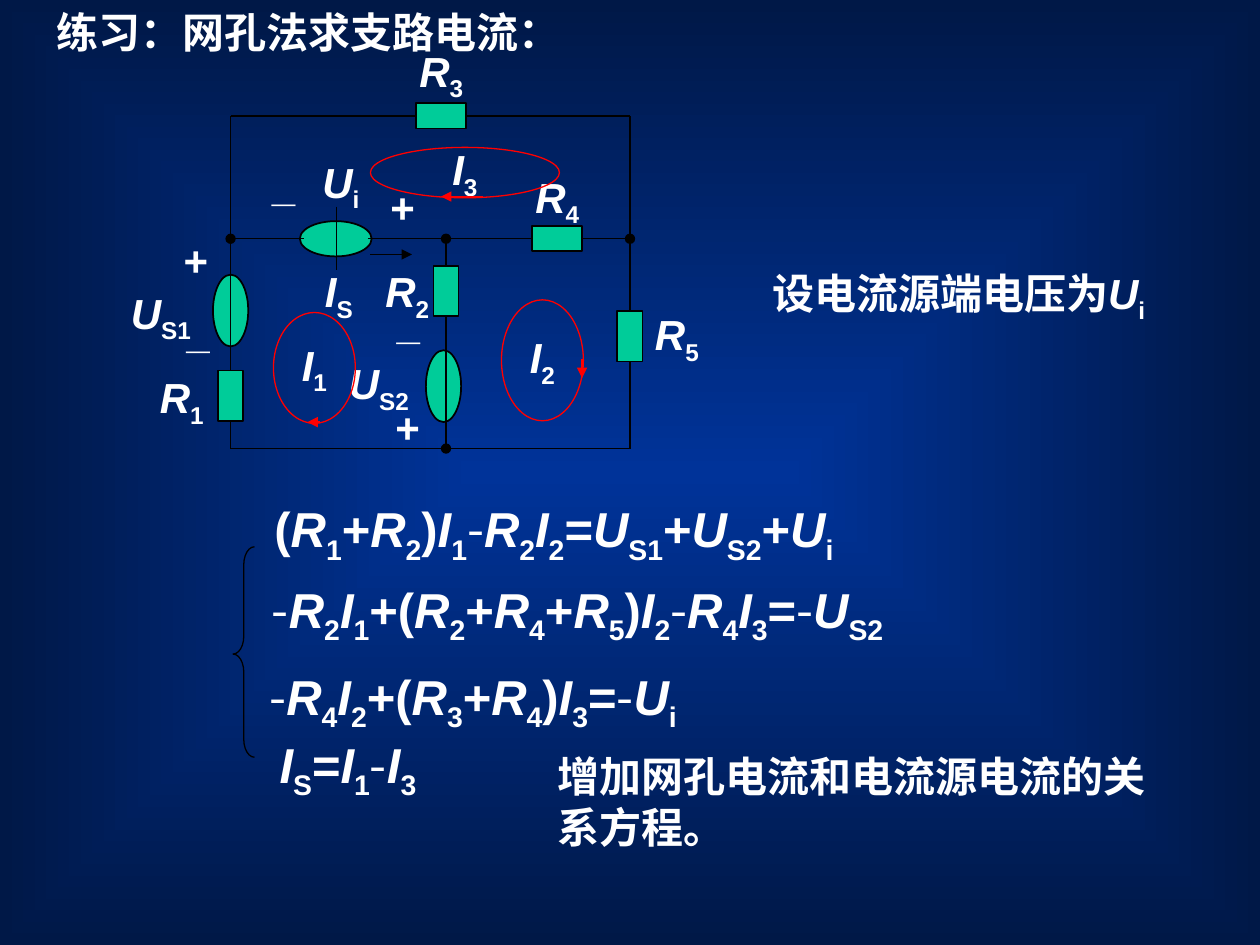
import itertools

import pptx
import pptx.dml.color
import pptx.enum.lang
import pptx.enum.shapes
import pptx.enum.text
import pptx.oxml.ns
import pptx.util
from lxml import etree

COLORS = {
    "center": "003399", "edge": "001847", "text": "FFFFFF",
    "part": "00CC99", "wire": "000000", "loop": "FF0000",
}
SHAPE = pptx.enum.shapes.MSO_SHAPE
ANCHOR = pptx.enum.text.MSO_ANCHOR
ALIGN = pptx.enum.text.PP_ALIGN
qn = pptx.oxml.ns.qn

# The slide is a grid of 100 columns by 75 rows of square cells.
CELL = pptx.util.Inches(0.1)
LEFT, MIDDLE, RIGHT = 18.3, 35.4, 50
TOP, CENTER, BOTTOM = 9.2, 18.95, 35.6
SOURCE_SIZE = (2.8, 5.7)
RESISTOR_SIZE = (2, 4)


def cells(*counts):
    return [round(count * CELL) for count in counts]


def rgb(name):
    return pptx.dml.color.RGBColor.from_string(COLORS[name])


def paint_background(page):
    fill = page.background.fill
    fill.gradient()
    for stop, name in zip(fill.gradient_stops, ("center", "edge")):
        stop.color.rgb = rgb(name)
    linear = next(page.element.iter(qn("a:lin")))
    gradient = linear.getparent()
    gradient.remove(linear)
    route = etree.SubElement(gradient, qn("a:path"), path="shape")
    etree.SubElement(route, qn("a:fillToRect"),
                     {side: "50000" for side in "ltrb"})


def glyph_style(char):
    if char in "RIU":
        return "variable"
    return "minus" if char == "-" else "plain"


def add_span(para, text, style):
    span = para.add_run()
    span.text = text
    span.font.language_id = pptx.enum.lang.MSO_LANGUAGE_ID.SIMPLIFIED_CHINESE
    if style == "variable":
        span.font.italic = True
    elif style == "minus":
        span.font.name = "Noto Sans CJK SC"
        span.font.bold = False
    elif style == "subscript":
        span.font._element.set("baseline", "-25000")


def write(box, text, size=24, wrap=False, align=ALIGN.LEFT, anchor=ANCHOR.TOP):
    """Write text in which braces hold subscripts and R, I, U are variables."""
    frame = box.text_frame
    frame.word_wrap = wrap
    frame.vertical_anchor = anchor
    para = frame.paragraphs[0]
    para.alignment = align
    para.font.name = "Arial"
    para.font.size = pptx.util.Pt(size)
    para.font.bold = True
    para.font.color.rgb = rgb("text")
    for chunk in text.split("{"):
        subscript, brace, rest = chunk.partition("}")
        if brace:
            add_span(para, subscript, "subscript")
        else:
            rest = chunk
        for style, chars in itertools.groupby(rest, glyph_style):
            add_span(para, "".join(chars), style)


def add_label(page, text, left, top, width, height=5.1, size=24, wrap=False):
    box = page.shapes.add_textbox(*cells(left, top, width, height))
    write(box, text, size, wrap)
    box.text_frame.auto_size = pptx.enum.text.MSO_AUTO_SIZE.SHAPE_TO_FIT_TEXT


def add_outline(page, kind, left, top, width, height, line="wire", weight=0.75):
    shape = page.shapes.add_shape(kind, *cells(left, top, width, height))
    shape.shadow.inherit = False
    shape.fill.background()
    shape.line.color.rgb = rgb(line)
    shape.line.width = pptx.util.Pt(weight)
    return shape


def add_part(page, kind, x, y, size, flat=False):
    """Add a circuit part centred at x, y; flat parts lie along a row."""
    width, height = reversed(size) if flat else size
    part = add_outline(page, kind, x - width / 2, y - height / 2,
                       width, height, weight=1)
    part.fill.solid()
    part.fill.fore_color.rgb = rgb("part")


def add_wire(page, start, end, color="wire", head=None, tail=None):
    wire = page.shapes.add_connector(
        pptx.enum.shapes.MSO_CONNECTOR.STRAIGHT, *cells(*start, *end))
    wire.line.color.rgb = rgb(color)
    wire.line.width = pptx.util.Pt(0.75)
    properties = wire._element.spPr
    line = properties.find(qn("a:ln"))
    for tag, kind in (("a:headEnd", head), ("a:tailEnd", tail)):
        if kind:
            etree.SubElement(line, qn(tag), type=kind)
    etree.SubElement(properties, qn("a:effectLst"))


def add_loop(page, text, area, start, end):
    loop = add_outline(page, SHAPE.OVAL, *area, line="loop")
    write(loop, text, align=ALIGN.CENTER, anchor=ANCHOR.MIDDLE)
    add_wire(page, start, end, "loop", tail="triangle")


def add_title(page, text):
    title = page.shapes.title
    title.left, title.top, title.width, title.height = cells(3.5, 0, 42.6, 5.1)
    write(title, text)
    title.text_frame.auto_size = pptx.enum.text.MSO_AUTO_SIZE.SHAPE_TO_FIT_TEXT


def add_circuit(page):
    for x, y, flat in ((35.2, 30.65, False), (LEFT, 24.65, False),
                       (26.65, CENTER, True)):
        add_part(page, SHAPE.OVAL, x, y, SOURCE_SIZE, flat)

    for x in (LEFT, RIGHT):
        add_wire(page, (x, TOP), (x, BOTTOM))
    for y in (TOP, BOTTOM):
        add_wire(page, (LEFT, y), (RIGHT, y))
    add_wire(page, (26.7, 16.4), (26.7, 21.4))
    add_wire(page, (24.1, CENTER), (LEFT, CENTER), tail="oval")
    add_wire(page, (29.2, CENTER), (RIGHT, CENTER), tail="oval")
    add_wire(page, (MIDDLE, CENTER), (MIDDLE, BOTTOM), head="oval", tail="oval")
    add_wire(page, (29.4, 20.2), (32.7, 20.2), tail="triangle")

    for x, y, flat in ((LEFT, 31.4, False), (MIDDLE, 23.1, False),
                       (35, TOP, True), (44.2, CENTER, True),
                       (RIGHT, 26.7, False)):
        add_part(page, SHAPE.RECTANGLE, x, y, RESISTOR_SIZE, flat)


def add_circuit_labels(page):
    widths = {"_": 3.8, "+": 4, "R": 5.7, "U": 7.2, "I": 4.5}
    labels = (
        ("_", 20.6, 12.2), ("_", 30.5, 23.1), ("_", 13.8, 23.8),
        ("+", 30, 13.9), ("+", 13.6, 18.1), ("+", 30.4, 31.4),
        ("R{1}", 11.7, 29), ("R{2}", 29.6, 20.6), ("R{3}", 32.3, 3.1),
        ("R{4}", 41.5, 13.1), ("R{5}", 51, 24),
        ("U{S1}", 9.4, 22.3), ("U{S2}", 26.7, 27.9), ("I{S}", 24.8, 20.6),
    )
    for text, left, top in labels:
        add_label(page, text, left, top, widths[text[0]])
    add_label(page, "U{i}", 24.6, 11.9, 5.1)


def main():
    deck = pptx.Presentation()
    deck.slide_width, deck.slide_height = cells(100, 75)
    page = deck.slides.add_slide(deck.slide_layouts[5])
    paint_background(page)
    add_title(page, "练习：网孔法求支路电流：")

    equations = (
        ("(R{1}+R{2})I{1}-R{2}I{2}=U{S1}+U{S2}+U{i}", 20.8, 39.1, 49.4),
        ("-R{2}I{1}+(R{2}+R{4}+R{5})I{2}-R{4}I{3}=-U{S2}", 20.6, 45.5, 54.9),
        ("-R{4}I{2}+(R{3}+R{4})I{3}=-U{i}", 20.4, 52.4, 37),
        ("I{S}=I{1}-I{3}", 21.2, 57.8, 14.2),
    )
    for text, left, top, width in equations:
        add_label(page, text, left, top, width, height=5.7, size=28)
    brace = add_outline(page, SHAPE.LEFT_BRACE, 18.5, 43.4, 1.7, 16.7)
    brace.adjustments[0], brace.adjustments[1] = 0.83, 0.51

    add_circuit(page)
    add_circuit_labels(page)
    add_loop(page, "I{1}", (21.7, 24.8, 6.5, 8.8), (25.4, 33.5), (24.4, 33.5))
    add_loop(page, "I{2}", (39.8, 23.8, 6.5, 9.6), (46.2, 28.5), (46.2, 30))
    add_loop(page, "I{3}", (29.4, 11.7, 15, 4), (38.3, 15.6), (35, 15.6))

    add_label(page, "设电流源端电压为U{i}", 60.3, 20.7, 31.9, 9.1, wrap=True)
    add_label(page, "增加网孔电流和电流源电流的关系方程。",
              43.3, 59.1, 50.1, 9.1, wrap=True)
    deck.save("out.pptx")


if __name__ == "__main__":
    main()
